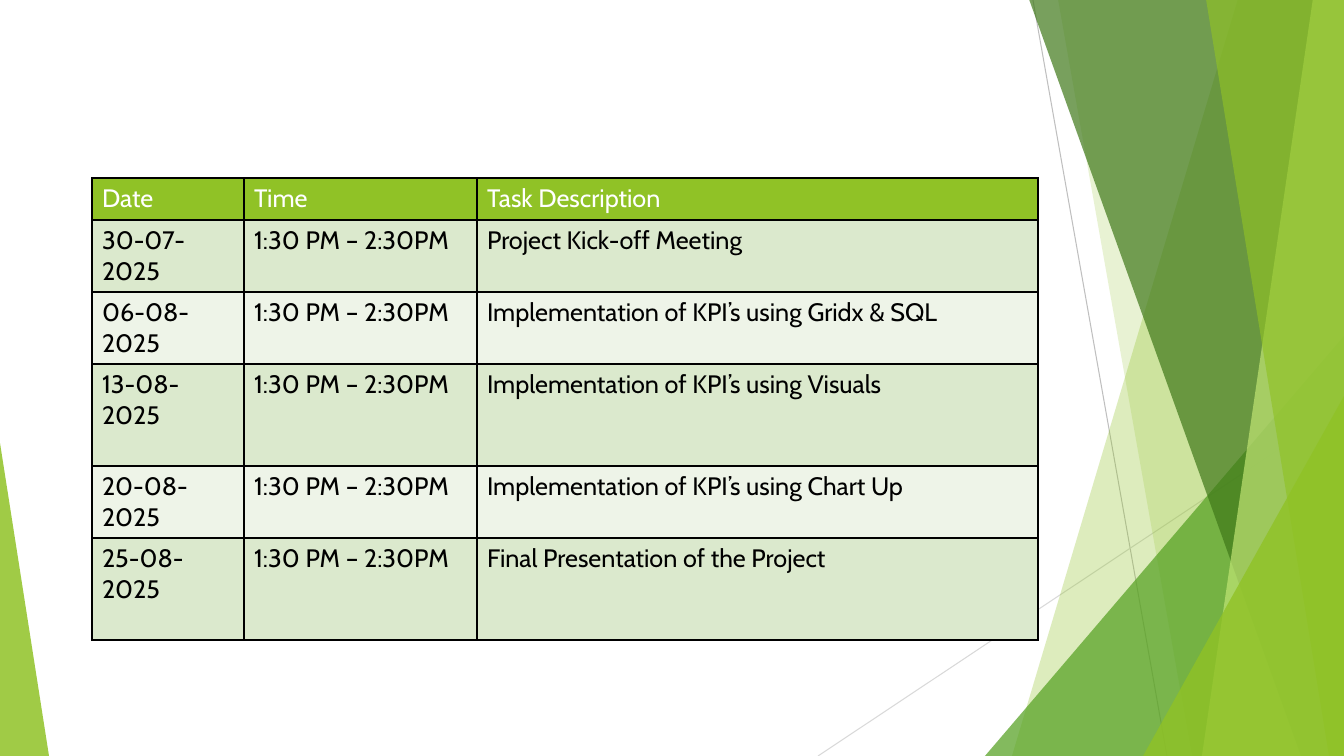
from dataclasses import dataclass

from lxml import etree
from pptx import Presentation
from pptx.dml.color import RGBColor
from pptx.enum.shapes import MSO_CONNECTOR, MSO_SHAPE
from pptx.oxml.ns import qn
from pptx.util import Pt

STRAIGHT = MSO_CONNECTOR.STRAIGHT
TRIANGLE = MSO_SHAPE.ISOSCELES_TRIANGLE
EMU_PER_PX = 914400 / 100.8
SLIDE_WIDTH, SLIDE_HEIGHT = 1344, 756


@dataclass(frozen=True)
class Theme:
    font: str = "Cabin"
    text_size: int = 18
    hairline: float = 0.75
    border: int = 1
    lime: str = "90C226"
    leaf: str = "54A021"
    forest: str = "3F7819"
    pale_lime: str = "C0E474"
    dark_gray: str = "BFBFBF"
    light_gray: str = "D9D9D9"
    odd_row: str = "DBE9CD"
    even_row: str = "EEF4E8"
    white: str = "FFFFFF"
    black: str = "000000"


THEME = Theme()
MEETING_TIME = "1:30 PM – 2:30PM"
HEADINGS = ("Date", "Time", "Task Description")
TASKS = (
    ("30-07-2025", "Project Kick-off Meeting"),
    ("06-08-2025", "Implementation of KPI’s using Gridx & SQL"),
    ("13-08-2025", "Implementation of KPI’s using Visuals"),
    ("20-08-2025", "Implementation of KPI’s using Chart Up"),
    ("25-08-2025", "Final Presentation of the Project"),
)
COLUMN_WIDTHS = (152, 233, 561)
ROW_HEIGHTS = (42, 72, 72, 102, 72, 102)


def px(value):
    return round(value * EMU_PER_PX)


def add_hairline(slide, start, end, color):
    line = slide.shapes.add_connector(STRAIGHT, *map(px, start + end))
    line.line.color.rgb = RGBColor.from_string(color)
    line.line.width = Pt(THEME.hairline)
    etree.SubElement(line._element.spPr, qn("a:effectLst"))


def fill_translucent(shape, color, opacity):
    """Give a borderless fill whose opacity is a percentage."""
    shape.shadow.inherit = False
    shape.line.fill.background()
    shape.fill.solid()
    shape.fill.fore_color.rgb = RGBColor.from_string(color)
    color_element = shape._element.spPr.find(".//" + qn("a:srgbClr"))
    etree.SubElement(color_element, qn("a:alpha"), val=str(opacity * 1000))


def add_ribbon(slide, top_x, bottom_x, color, opacity):
    """Fill from a slanted left edge to the right side of the slide."""
    builder = slide.shapes.build_freeform(top_x, -1, scale=EMU_PER_PX)
    builder.add_line_segments(
        ((SLIDE_WIDTH, -1), (SLIDE_WIDTH, SLIDE_HEIGHT), (bottom_x, SLIDE_HEIGHT)),
        close=True,
    )
    fill_translucent(builder.convert_to_shape(), color, opacity)


def add_corner(slide, left, width, height, apex, color, opacity):
    """Stand a triangle on the bottom edge; apex runs from 0 (left) to 1 (right)."""
    shape = slide.shapes.add_shape(
        TRIANGLE, px(left), px(SLIDE_HEIGHT - height), px(width), px(height)
    )
    shape.adjustments[0] = apex
    fill_translucent(shape, color, opacity)


def add_borders(cell):
    properties = cell._tc.get_or_add_tcPr()
    for side in ("lnL", "lnR", "lnT", "lnB"):
        line = etree.SubElement(properties, qn(f"a:{side}"), w=str(Pt(THEME.border)))
        fill = etree.SubElement(line, qn("a:solidFill"))
        etree.SubElement(fill, qn("a:srgbClr"), val=THEME.black)


def format_cell(cell, text, fill_color, text_color):
    add_borders(cell)
    cell.fill.solid()
    cell.fill.fore_color.rgb = RGBColor.from_string(fill_color)
    cell.text = text
    font = cell.text_frame.paragraphs[0].font
    font.name = THEME.font
    font.size = Pt(THEME.text_size)
    font.color.rgb = RGBColor.from_string(text_color)


def add_schedule(slide, left, top):
    rows = [HEADINGS] + [(date, MEETING_TIME, task) for date, task in TASKS]
    table = slide.shapes.add_table(
        len(rows), len(HEADINGS), px(left), px(top),
        px(sum(COLUMN_WIDTHS)), px(sum(ROW_HEIGHTS)),
    ).table
    table.first_row = False
    table.horz_banding = False
    for column, width in zip(table.columns, COLUMN_WIDTHS):
        column.width = px(width)
    for row_index, texts in enumerate(rows):
        table.rows[row_index].height = px(ROW_HEIGHTS[row_index])
        if row_index == 0:
            colors = THEME.lime, THEME.white
        else:
            band = THEME.odd_row if row_index % 2 else THEME.even_row
            colors = band, THEME.black
        for column_index, text in enumerate(texts):
            format_cell(table.cell(row_index, column_index), text, *colors)


def add_backdrop(slide):
    add_hairline(slide, (1033, 0), (1167, SLIDE_HEIGHT), THEME.dark_gray)
    add_hairline(slide, (SLIDE_WIDTH, 406), (818, SLIDE_HEIGHT), THEME.light_gray)
    add_ribbon(slide, 1238, 1012, THEME.lime, 30)
    add_ribbon(slide, 1058, 1192, THEME.lime, 20)
    add_corner(slide, 985, 359, 420, 1, THEME.leaf, 72)
    add_ribbon(slide, 1029, 1301, THEME.forest, 70)
    add_ribbon(slide, 1313, 1202, THEME.pale_lime, 70)
    add_ribbon(slide, 1206, 1329, THEME.lime, 65)
    add_corner(slide, 1143, 201, 360, 1, THEME.lime, 80)
    add_corner(slide, 0, 49, 313, 0, THEME.lime, 85)


def main():
    presentation = Presentation()
    presentation.slide_width = px(SLIDE_WIDTH)
    presentation.slide_height = px(SLIDE_HEIGHT)
    slide = presentation.slides.add_slide(presentation.slide_layouts[6])
    add_backdrop(slide)
    add_schedule(slide, 92, 178)
    presentation.save("out.pptx")


if __name__ == "__main__":
    main()
